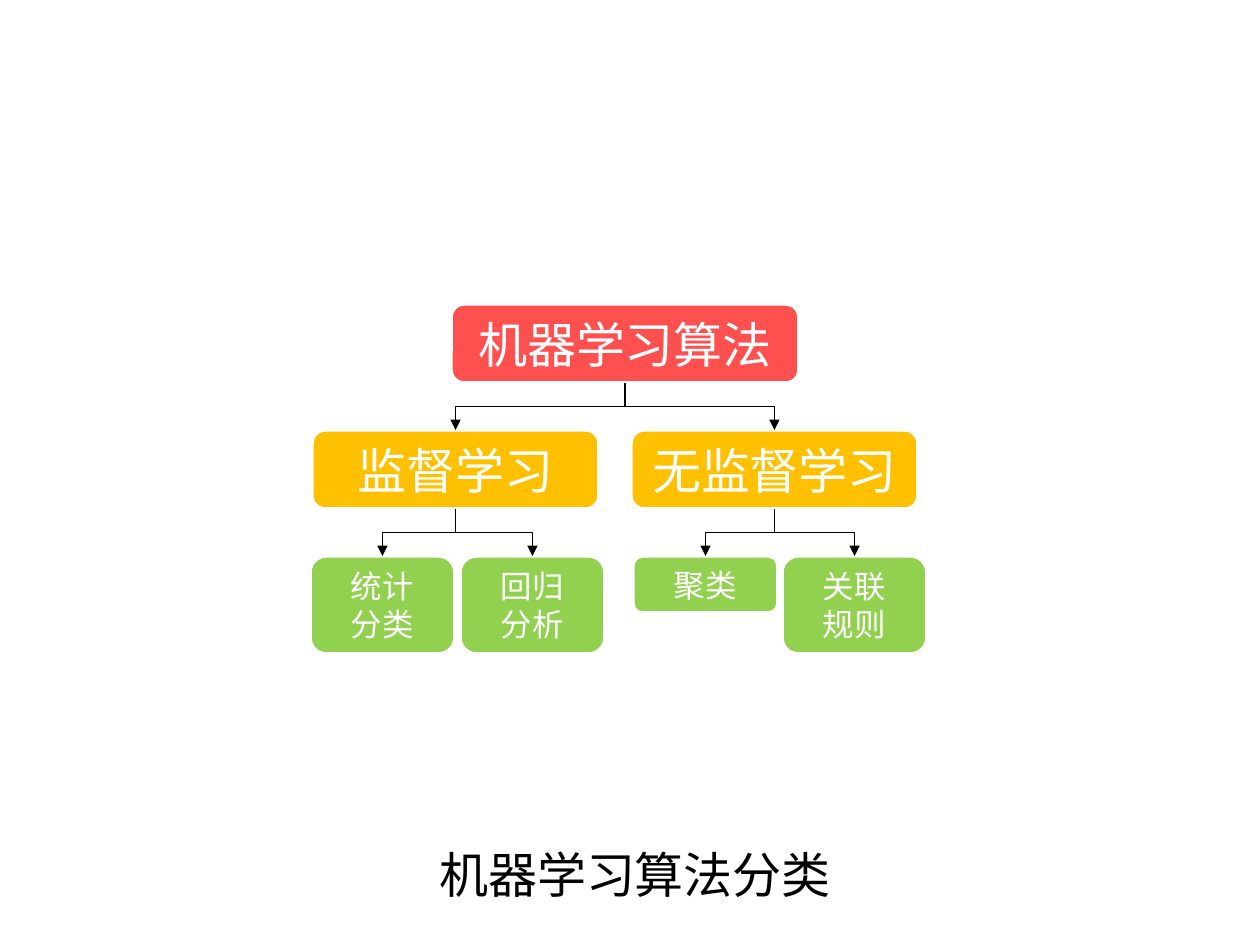
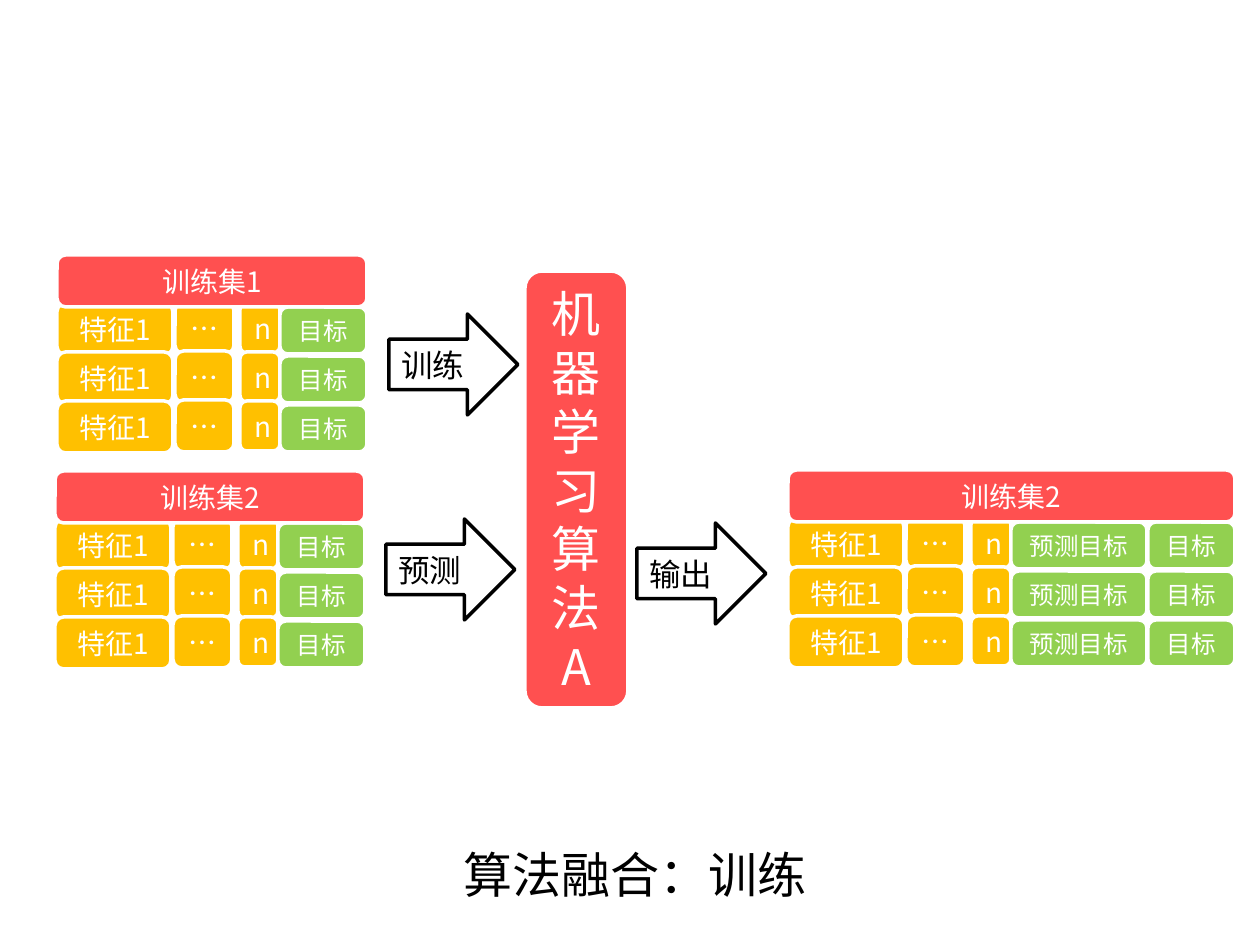
from lxml import etree
from pptx import Presentation
from pptx import util as u
from pptx.dml.color import RGBColor
from pptx.enum import shapes as sh, text as tx
from pptx.oxml.ns import qn

PX = 914400 / 126
FONT = "Noto Sans CJK SC"
HEX = {"red": "FF5050", "gold": "FFC000", "green": "92D050",
       "white": "FFFFFF", "black": "000000"}

# Columns of a data set: text, left, drop, width, height, size, colour
BASE = [("特征1", 0, 0, 116, 52, 16, "gold"),
        ("…", 118, -1, 59, 52, 16, "gold"),
        ("n", 183, 0, 40, 50, 16, "gold")]
GUESS = ("预测目标", 223, 4, 136, 47, 14, "green")


def goal(left):
    return ("目标", left, 4, 87, 47, 14, "green")


def px(n):
    return u.Emu(round(n * PX))


def rgb(name):
    return RGBColor.from_string(HEX[name])


def write(frame, text, size, color, align, font=FONT):
    """Fill a text frame, one paragraph for each line of text."""
    lines = text.split("\n")
    frame.text = text
    for para in frame.paragraphs:
        para.alignment = align
        if len(lines) > 1:
            para.line_spacing = u.Pt(size * 1.2)
        para.font.size = u.Pt(size)
        para.font.color.rgb = rgb(color)
        para.font.name = font
        props = para._p.pPr.find(qn("a:defRPr"))
        etree.SubElement(props, qn("a:ea")).set("typeface", FONT)


def block(slide, kind, box, fill, edge):
    shape = slide.shapes.add_shape(kind, *map(px, box))
    shape.shadow.inherit = False
    shape.fill.solid()
    shape.fill.fore_color.rgb = rgb(fill)
    shape.line.color.rgb = rgb(edge)
    shape.line.width = u.Pt(2)
    shape.text_frame.word_wrap = True
    shape.text_frame.vertical_anchor = tx.MSO_ANCHOR.MIDDLE
    return shape


def card(slide, text, box, fill, size):
    shape = block(slide, sh.MSO_SHAPE.ROUNDED_RECTANGLE, box, fill, "white")
    write(shape.text_frame, text, size, "white", tx.PP_ALIGN.CENTER)
    return shape


def arrow(slide, text, left, top):
    shape = block(slide, sh.MSO_SHAPE.RIGHT_ARROW, (left, top, 129, 101),
                  "white", "black")
    write(shape.text_frame, text, 18, "black", tx.PP_ALIGN.LEFT, "Arial")


def title(slide, text, width):
    """Caption centred near the foot of the slide."""
    box = slide.shapes.add_textbox(px(635 - width / 2), px(838), px(width), px(72))
    box.text_frame.word_wrap = False
    write(box.text_frame, text, 28, "black", tx.PP_ALIGN.CENTER)


def link(slide, top, low):
    """Elbow arrow that leaves the foot of one card for the head of another."""
    x1, y1 = top.left + top.width // 2, top.top + top.height
    x2, y2 = low.left + low.width // 2, low.top
    line = slide.shapes.add_connector(sh.MSO_CONNECTOR.ELBOW, x1, y1, x2, y2)
    line.begin_connect(top, 2)
    line.end_connect(low, 0)
    # A quarter turn makes the elbow run down, across, down
    wide, high = y2 - y1, abs(x2 - x1)
    right = x2 > x1
    frame = line._element.spPr.find(qn("a:xfrm"))
    for key in ("flipH", "flipV"):
        frame.attrib.pop(key, None)
    frame.set("rot", str((270 if right else 90) * 60000))
    if right:
        frame.set("flipH", "1")
    line.left, line.top = (x1 + x2 - wide) // 2, (y1 + y2 - high) // 2
    line.width, line.height = wide, high
    line.line.color.rgb = rgb("black")
    line.line.width = u.Pt(0.75)
    etree.SubElement(line.line._get_or_add_ln(), qn("a:tailEnd")).set("type", "triangle")
    etree.SubElement(line._element.spPr, qn("a:effectLst"))


def tree(slide, left, top):
    """Three levels of cards joined by arrows."""
    root = card(slide, "机器学习算法", (left + 141, top, 348, 79), "red", 28)
    groups = [("监督学习", 2, [("统计\n分类", 0), ("回归\n分析", 150)]),
              ("无监督学习", 321, [("聚类", 323), ("关联\n规则", 472)])]
    for name, x, leaves in groups:
        group = card(slide, name, (left + x, top + 126, 287, 79), "gold", 28)
        link(slide, root, group)
        for text, dx in leaves:
            high = 98 if "\n" in text else 57
            leaf = card(slide, text, (left + dx, top + 252, 145, high), "green", 18)
            link(slide, group, leaf)


def data(slide, name, left, top, cols):
    """Three rows of cells below a heading that spans them."""
    for row in range(3):
        for text, x, drop, wide, high, size, color in cols:
            y = top + 48 + 49 * row + drop
            card(slide, text, (left + x, y, wide, high), color, size)
    span = cols[-1][1] + cols[-1][3]
    card(slide, name, (left, top, span, 52), "red", 16)


def kinds(slide):
    tree(slide, 310, 304)
    title(slide, "机器学习算法分类", 421)


def fusion(slide):
    # Input sets
    data(slide, "训练集1", 57, 255, BASE + [goal(223)])
    data(slide, "训练集2", 55, 471, BASE + [goal(223)])
    # Algorithm and its flows
    card(slide, "机器学习算法\nA", (525, 271, 103, 437), "red", 28)
    for text, x, y in [("训练", 389, 314), ("预测", 386, 519), ("输出", 637, 523)]:
        arrow(slide, text, x, y)
    # Output set
    data(slide, "训练集2", 788, 470, BASE + [GUESS, goal(360)])
    title(slide, "算法融合：训练", 372)


def main():
    deck = Presentation()
    deck.slide_width, deck.slide_height = px(1260), px(945)
    for fill in (kinds, fusion):
        fill(deck.slides.add_slide(deck.slide_layouts[6]))
    deck.save("out.pptx")


if __name__ == "__main__":
    main()
